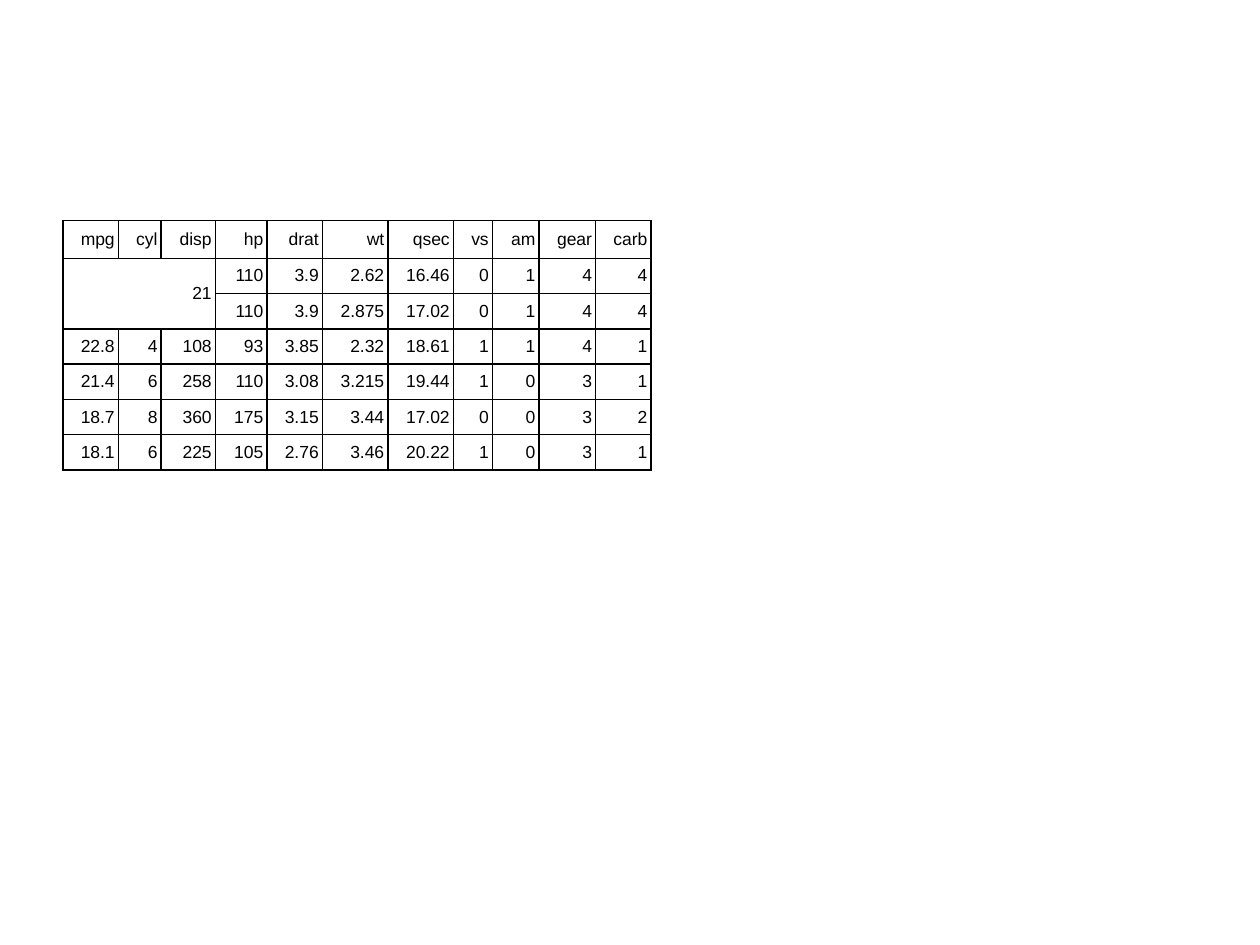
from lxml import etree
from pptx import Presentation
from pptx import util as u
from pptx.dml.color import RGBColor
from pptx.enum import text
from pptx.oxml import ns

COLORS = {"ink": "000000"}
SLIDE_WIDTH, SLIDE_HEIGHT = u.Inches(10), u.Inches(7.5)
COLUMN_WIDTHS = [0.44, 0.34, 0.43, 0.41, 0.44, 0.52, 0.52, 0.31, 0.37, 0.45, 0.44]
HEADER_HEIGHT, BODY_HEIGHT = 0.3, 0.28
CARS = [
    "mpg cyl disp hp drat wt qsec vs am gear carb".split(),
    ["21", "", "", "110", "3.9", "2.62", "16.46", "0", "1", "4", "4"],
    ["", "", "", "110", "3.9", "2.875", "17.02", "0", "1", "4", "4"],
    "22.8 4 108 93 3.85 2.32 18.61 1 1 4 1".split(),
    "21.4 6 258 110 3.08 3.215 19.44 1 0 3 1".split(),
    "18.7 8 360 175 3.15 3.44 17.02 0 0 3 2".split(),
    "18.1 6 225 105 2.76 3.46 20.22 1 0 3 1".split(),
]


def add_borders(cell):
    properties = cell._tc.get_or_add_tcPr()
    for side in ("lnL", "lnR", "lnT", "lnB"):
        line = etree.SubElement(properties, ns.qn(f"a:{side}"), w=str(u.Pt(1)))
        fill = etree.SubElement(line, ns.qn("a:solidFill"))
        etree.SubElement(fill, ns.qn("a:srgbClr"), val=COLORS["ink"])


def write_cell(cell, content):
    cell.margin_left = cell.margin_right = cell.margin_top = cell.margin_bottom = 0
    cell.vertical_anchor = text.MSO_ANCHOR.MIDDLE
    add_borders(cell)
    cell.fill.background()
    paragraph = cell.text_frame.paragraphs[0]
    paragraph.text = content
    paragraph.alignment = text.PP_ALIGN.RIGHT
    paragraph.space_before = paragraph.space_after = u.Pt(2)
    paragraph.font.name = "Arial"
    paragraph.font.size = u.Pt(10)
    paragraph.font.color.rgb = RGBColor.from_string(COLORS["ink"])
    indents = paragraph._p.get_or_add_pPr()
    for side in ("marL", "marR"):
        indents.set(side, str(u.Inches(0.03)))


def add_car_table(slide):
    left, top = int(SLIDE_WIDTH * 0.05), int(SLIDE_HEIGHT * 0.7 / 3)
    width, height = int(SLIDE_WIDTH * 0.9), int(SLIDE_HEIGHT * 0.66)
    shape = slide.shapes.add_table(len(CARS), len(COLUMN_WIDTHS), left, top, width, height)
    table = shape.table
    table.first_row = table.horz_banding = False
    for column, column_width in zip(table.columns, COLUMN_WIDTHS):
        column.width = u.Inches(column_width)
    for index, row in enumerate(table.rows):
        row.height = u.Inches(BODY_HEIGHT if index else HEADER_HEIGHT)
        for cell, content in zip(row.cells, CARS[index]):
            write_cell(cell, content)
    table.cell(1, 0).merge(table.cell(2, 2))
    shape.width, shape.height = width, height


def main():
    presentation = Presentation()
    presentation.slide_width, presentation.slide_height = SLIDE_WIDTH, SLIDE_HEIGHT
    slide = presentation.slides.add_slide(presentation.slide_layouts[6])
    add_car_table(slide)
    presentation.save("out.pptx")


main()
